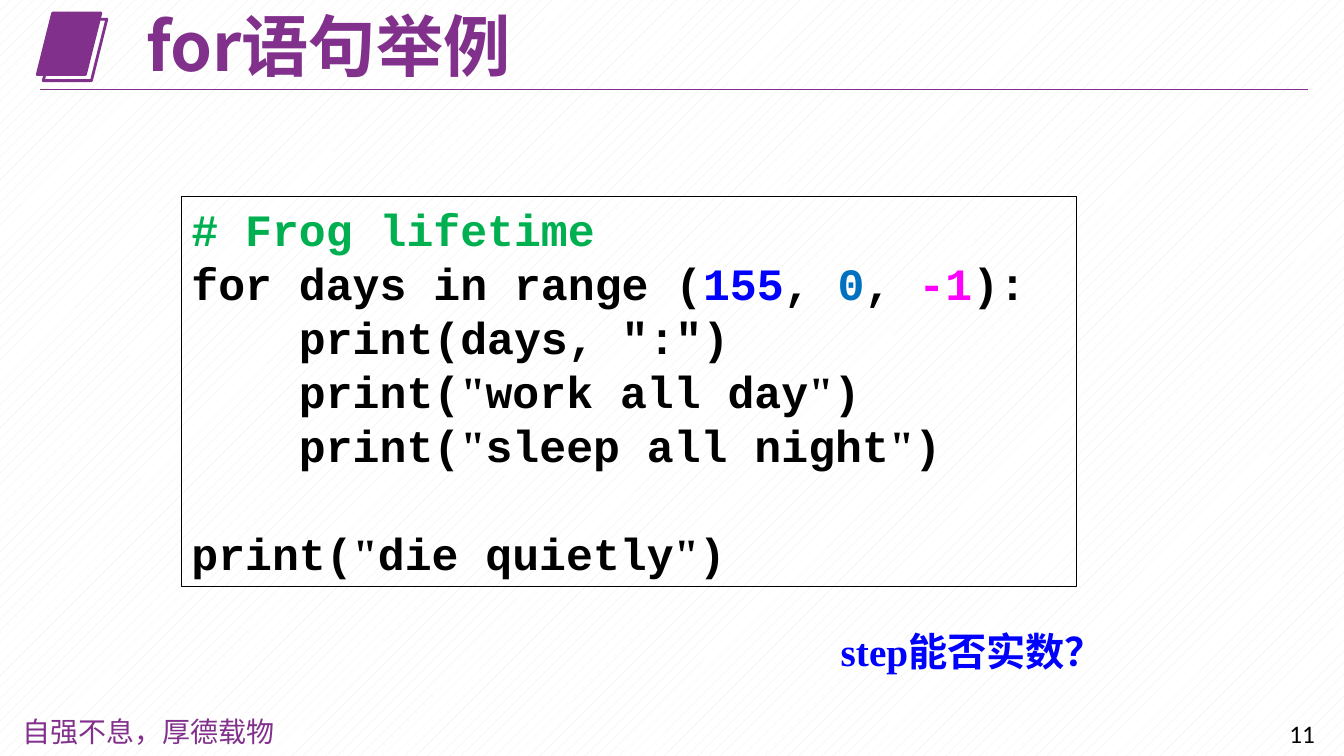
from dataclasses import dataclass

from lxml.etree import SubElement
from pptx import Presentation
from pptx.dml.color import RGBColor
from pptx.enum.dml import MSO_PATTERN
from pptx.enum.shapes import MSO_CONNECTOR, MSO_SHAPE
from pptx.enum.text import MSO_ANCHOR
from pptx.oxml.ns import qn
from pptx.util import Inches, Pt


@dataclass(frozen=True)
class Theme:
    """Colours, fonts and type sizes of the slide."""
    purple: str = "81308C"
    black: str = "000000"
    white: str = "FFFFFF"
    ivory: str = "EEECE1"
    green: str = "00B050"
    blue: str = "0000FF"
    azure: str = "0070C0"
    magenta: str = "FF00FF"
    heading_font: str = "Noto Sans CJK SC"
    motto_font: str = "Noto Sans CJK JP"
    number_font: str = "Calibri"
    code_font: str = "Courier New"
    serif_font: str = "Times New Roman"
    title_size: int = 48
    code_size: int = 32
    question_size: int = 28
    motto_size: int = 20
    number_size: int = 18


THEME = Theme()


def colour(value):
    """Turn a hexadecimal string into a colour."""
    return RGBColor.from_string(value)


def format_run(run, font, size, ink, bold=False, asian_font=THEME.heading_font):
    """Set the type of one run, with its East Asian font."""
    run.font.name = font
    run.font.size = Pt(size)
    run.font.bold = bold
    run.font.color.rgb = colour(ink)
    SubElement(run.font._element, qn("a:ea"), typeface=asian_font)


def add_label(slide, box, text, font, size, ink, bold=False,
              asian_font=THEME.heading_font, wrap=True):
    """Add a one-line text box and return its shape."""
    shape = slide.shapes.add_textbox(*map(Inches, box))
    shape.text_frame.word_wrap = wrap
    shape.text_frame.text = text
    run = shape.text_frame.paragraphs[0].runs[0]
    format_run(run, font, size, ink, bold, asian_font)
    return shape


def add_outlined(slide, preset, box, ink, width):
    """Add an unfilled preset shape with a plain outline."""
    shape = slide.shapes.add_shape(preset, *map(Inches, box))
    shape.shadow.inherit = False
    shape.fill.background()
    shape.line.color.rgb = colour(ink)
    shape.line.width = Pt(width)
    return shape


def add_header(slide, box):
    """Add the book mark, the title and the rule under them."""
    left, top, width, height = box
    marks = [add_outlined(slide, MSO_SHAPE.PARALLELOGRAM,
                          (left + offset, top + 0.02 + offset, 0.63, 0.61),
                          THEME.purple, 2)
             for offset in (0, 0.06)]
    marks[0].fill.solid()
    marks[0].fill.fore_color.rgb = colour(THEME.purple)
    base = Inches(top + height)
    rule = slide.shapes.add_connector(
        MSO_CONNECTOR.STRAIGHT, Inches(left + 0.03), base, Inches(left + width), base)
    rule.line.color.rgb = colour(THEME.purple)
    rule.line.width = Pt(0.75)
    SubElement(rule._element.spPr, qn("a:effectLst"))
    title = add_label(slide, (left + 0.98, top, 6.15, 0.76), "for语句举例",
                      THEME.heading_font, THEME.title_size, THEME.purple, True)
    title.text_frame.vertical_anchor = MSO_ANCHOR.MIDDLE
    title.text_frame.paragraphs[0].line_spacing = 0.9


def print_line(message, indent=""):
    """Return the runs of a print call whose quotes are set in serif type."""
    return [(indent + "print(", THEME.black, THEME.code_font),
            ('"', THEME.black, THEME.serif_font),
            (message, THEME.black, THEME.code_font),
            ('"', THEME.black, THEME.serif_font),
            (")", THEME.black, THEME.code_font)]


def add_code(slide, box):
    """Add the framed program listing."""
    code = THEME.code_font
    indent = " " * 4
    lines = [
        [("# Frog lifetime", THEME.green, code)],
        [("for days in range (", THEME.black, code), ("155", THEME.blue, code),
         (", ", THEME.black, code), ("0", THEME.azure, code),
         (", ", THEME.black, code), ("-1", THEME.magenta, code),
         ("):", THEME.black, code)],
        [(indent + 'print(days, ":")', THEME.black, code)],
        print_line("work all day", indent),
        print_line("sleep all night", indent),
        print_line("die quietly"),
    ]
    frame = add_outlined(slide, MSO_SHAPE.RECTANGLE, box, THEME.black, 0.75).text_frame
    frame.word_wrap = True
    frame.vertical_anchor = MSO_ANCHOR.TOP
    frame.text = "\n".join("".join(text for text, _, _ in line) for line in lines)
    line_height = Pt(38.6)
    for paragraph, line in zip(frame.paragraphs, lines):
        paragraph.text = ""
        paragraph.alignment = 1
        paragraph.line_spacing = line_height
        for text, ink, font in line:
            run = paragraph.add_run()
            run.text = text
            format_run(run, font, THEME.code_size, ink, True)
    frame.paragraphs[-1].space_before = line_height


def add_question(slide, box):
    """Add the question below the program."""
    add_label(slide, box, "step能否实数？", THEME.serif_font,
              THEME.question_size, THEME.blue, True, wrap=False)


def add_footer(slide, box):
    """Add the motto at the left and the slide number at the right."""
    left, top, width, height = box
    add_label(slide, (left, top, 2.78, height), "自强不息，厚德载物", THEME.motto_font,
              THEME.motto_size, THEME.purple, asian_font=THEME.motto_font)
    add_label(slide, (left + width - 0.61, top + 0.04, 0.61, 0.4), "11",
              THEME.number_font, THEME.number_size, THEME.black)


def paint_background(slide):
    """Give the slide its faint pattern."""
    fill = slide.background.fill
    fill.patterned()
    fill.pattern = MSO_PATTERN.PERCENT_10
    fill.fore_color.rgb = colour(THEME.ivory)
    fill.back_color.rgb = colour(THEME.white)


def main():
    """Build the slide and save it."""
    presentation = Presentation()
    presentation.slide_width = Inches(13.33)
    presentation.slide_height = Inches(7.5)
    slide = presentation.slides.add_slide(presentation.slide_layouts[6])
    paint_background(slide)
    add_footer(slide, (0.12, 7.04, 13.18, 0.44))
    add_header(slide, (0.37, 0.11, 12.6, 0.78))
    add_code(slide, (1.8, 1.95, 8.88, 3.87))
    add_question(slide, (8.24, 6.17, 2.85, 0.57))
    presentation.save("out.pptx")


if __name__ == "__main__":
    main()
